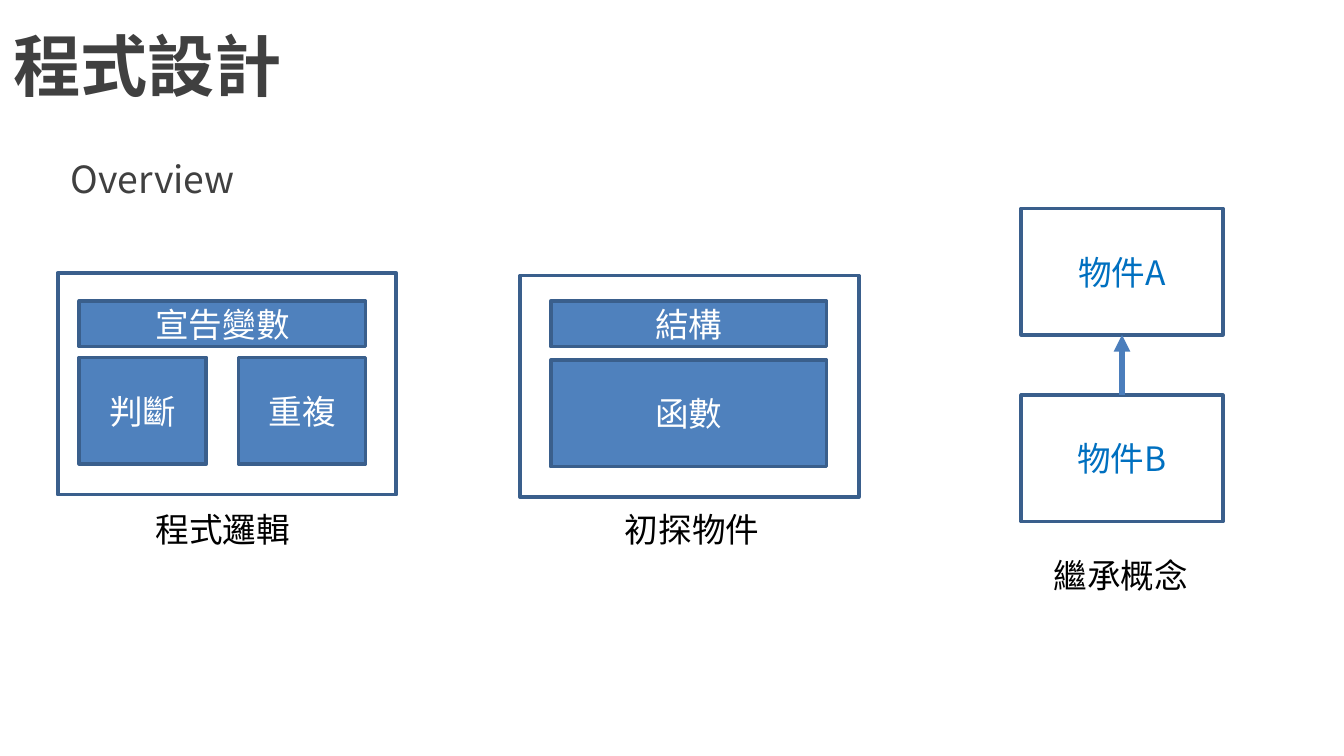
"""Build the programming course overview slide."""
import pptx
import pptx.util
import pptx.dml.color
import pptx.enum.shapes
import pptx.enum.text
import pptx.oxml
import pptx.oxml.ns
from lxml import etree

Cm, Pt = pptx.util.Cm, pptx.util.Pt
RGBColor = pptx.dml.color.RGBColor
ALIGN = pptx.enum.text.PP_ALIGN
ANCHOR = pptx.enum.text.MSO_ANCHOR
AUTO_SIZE = pptx.enum.text.MSO_AUTO_SIZE
qn = pptx.oxml.ns.qn

FONT = "Noto Sans CJK SC"
GREY = RGBColor(0x40, 0x40, 0x40)
BLACK = RGBColor(0, 0, 0)
WHITE = RGBColor(0xFF, 0xFF, 0xFF)
BLUE = RGBColor(0x4F, 0x81, 0xBD)
EDGE = RGBColor(0x3A, 0x5F, 0x8C)
ARROW = RGBColor(0x4B, 0x7E, 0xBC)
LABEL = RGBColor(0x00, 0x70, 0xC0)

HEADINGS = [
    ("程式設計", (0, 0, 25.4, 2.46), 36, True),
    ("Overview", (1.09, 2.74, 23.6, 1.27), 20, False),
]
PANELS = [
    {"corner": (1.09, 5.16), "inner": (1.5, 5.41), "row_tops": (5.69, 6.76),
     "rows": [["宣告變數"], ["判斷", "重複"]]},
    {"corner": (9.83, 5.21), "inner": (10.41, 5.21), "row_tops": (5.69, 6.81),
     "rows": [["結構"], ["函數"]]},
]
OBJECTS = [("物件A", 3.94), ("物件B", 7.47)]
CAPTIONS = [("程式邏輯", 2.69, 9.5), ("初探物件", 11.56, 9.5), ("繼承概念", 19.66, 10.36)]

PANEL_SIZE = (6.4, 4.19)
ROW_HEIGHTS = (0.86, 2.01)
BLOCK_GAP = 0.61
OBJECT_LEFT, OBJECT_WIDTH, OBJECT_HEIGHT = 19.3, 3.81, 2.39
CAPTION_SIZE = (3.07, 1.02)


def add_text(frame, text, size, color, bold=False, align=ALIGN.LEFT):
    paragraph = frame.paragraphs[0]
    paragraph.alignment = align
    run = paragraph.add_run()
    run.text = text
    run.font.size = Pt(size)
    run.font.name = FONT
    run.font.bold = bold
    run.font.color.rgb = color
    etree.SubElement(run.font._element, qn("a:ea"), typeface=FONT)


def add_box(slide, area, text="", color=WHITE, fill=None):
    box = slide.shapes.add_shape(
        pptx.enum.shapes.MSO_SHAPE.RECTANGLE, *map(Cm, area))
    box.shadow.inherit = False
    if fill is None:
        box.fill.background()
    else:
        box.fill.solid()
        box.fill.fore_color.rgb = fill
    box.line.color.rgb = EDGE
    box.line.width = Pt(2)
    if text:
        box.text_frame.vertical_anchor = ANCHOR.MIDDLE
        add_text(box.text_frame, text, 18, color, align=ALIGN.CENTER)


def add_panel(slide, panel):
    add_box(slide, panel["corner"] + PANEL_SIZE)
    left, width = panel["inner"]
    for labels, top, height in zip(panel["rows"], panel["row_tops"], ROW_HEIGHTS):
        block_width = (width - BLOCK_GAP * (len(labels) - 1)) / len(labels)
        for column, label in enumerate(labels):
            block_left = left + column * (block_width + BLOCK_GAP)
            add_box(slide, (block_left, top, block_width, height), label, fill=BLUE)


def add_inheritance(slide):
    for label, top in OBJECTS:
        add_box(slide, (OBJECT_LEFT, top, OBJECT_WIDTH, OBJECT_HEIGHT), label, LABEL)
    middle = Cm(OBJECT_LEFT + OBJECT_WIDTH / 2)
    parent_top, child_top = (top for _, top in OBJECTS)
    arrow = slide.shapes.add_connector(
        pptx.enum.shapes.MSO_CONNECTOR.STRAIGHT,
        middle, Cm(child_top), middle, Cm(parent_top + OBJECT_HEIGHT))
    arrow.line.color.rgb = ARROW
    arrow.line.width = Pt(3)
    etree.SubElement(arrow.line._get_or_add_ln(), qn("a:tailEnd"), type="triangle")
    etree.SubElement(arrow._element.spPr, qn("a:effectLst"))


def main():
    deck = pptx.Presentation()
    deck.slide_width, deck.slide_height = Cm(25.4), Cm(14.29)
    slide = deck.slides.add_slide(deck.slide_layouts[6])

    for text, area, size, bold in HEADINGS:
        heading = slide.shapes.add_textbox(*map(Cm, area)).text_frame
        heading.word_wrap = True
        heading.vertical_anchor = ANCHOR.MIDDLE
        add_text(heading, text, size, GREY, bold)

    for panel in PANELS:
        add_panel(slide, panel)
    add_inheritance(slide)

    for text, left, top in CAPTIONS:
        caption = slide.shapes.add_textbox(
            *map(Cm, (left, top) + CAPTION_SIZE)).text_frame
        caption.word_wrap = False
        caption.auto_size = AUTO_SIZE.SHAPE_TO_FIT_TEXT
        add_text(caption, text, 18, BLACK)

    deck.save("out.pptx")


if __name__ == "__main__":
    main()
